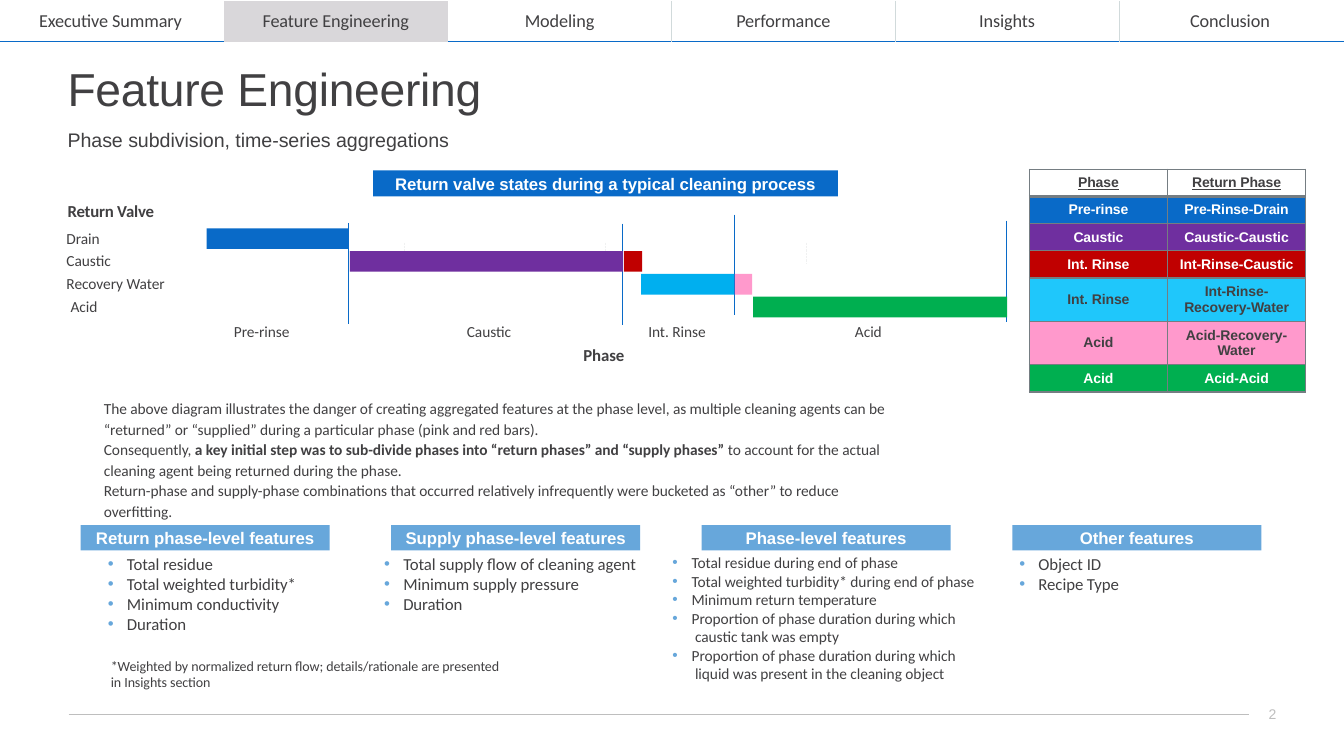
from lxml import etree
from pptx import Presentation
from pptx.dml.color import RGBColor
from pptx.enum.dml import MSO_LINE
from pptx.enum.shapes import MSO_CONNECTOR, MSO_SHAPE
from pptx.enum.text import MSO_ANCHOR, PP_ALIGN
from pptx.oxml.ns import qn
from pptx.util import Inches, Pt

LEFT, CENTER = PP_ALIGN.LEFT, PP_ALIGN.CENTER
TOP, MIDDLE = MSO_ANCHOR.TOP, MSO_ANCHOR.MIDDLE
RECT, STRAIGHT, DOTS = MSO_SHAPE.RECTANGLE, MSO_CONNECTOR.STRAIGHT, MSO_LINE.ROUND_DOT
NO_STYLE = "{2D5ABB26-0587-4C30-8999-92F81FD0307C}"
C = {"ink": "414042", "white": "FFFFFF", "blue": "096AC8", "sky": "67A7DB",
     "purple": "6F2F9F", "red": "C00000", "cyan": "00AFEF", "pale_cyan": "1FC7FB",
     "pink": "FF99CC", "green": "00AF50", "tab": "D9D7DA", "tab_edge": "D1DADB",
     "border": "757D82", "rule": "BEBEBE", "dots": "F0F1F1"}


def rgb(name):
    """Return a palette colour."""
    return RGBColor.from_string(C[name])


def g(units):
    """Convert grid units, ten columns or rows to the inch, to a length."""
    return Inches(units / 10)


class Deck:
    """Holds the style and the current slide."""

    def __init__(self, prs):
        """Add a blank slide to draw on."""
        self.s = prs.slides.add_slide(prs.slide_layouts[6])

    def fill_text(self, tf, paras, size=12, font="Calibri", color="ink", bold=False,
                  underline=False, align=LEFT, spacing=None, bullet=False, track=-5):
        """Fill a text frame; a paragraph is a string or a list of (text, bold) runs."""
        for i, para in enumerate(paras):
            p = tf.paragraphs[0] if i == 0 else tf.add_paragraph()
            p.alignment = align
            if spacing:
                p.line_spacing = spacing
            if bullet:
                self.bullet(p)
            for text, strong in ([(para, bold)] if isinstance(para, str) else para):
                for n, line in enumerate(text.split("\n")):
                    if n:
                        p.add_line_break()
                    r = p.add_run()
                    r.text = line
                    r.font.name, r.font.size, r.font.bold = font, Pt(size), strong
                    r.font.underline = underline
                    r.font.color.rgb = rgb(color)
                    r._r.get_or_add_rPr().set("spc", str(track))

    def bullet(self, p):
        """Give a paragraph a hanging sky-blue bullet."""
        pPr = p._p.get_or_add_pPr()
        pPr.set("marL", str(g(2)))
        pPr.set("indent", str(-g(1.9)))
        clr = etree.SubElement(pPr, qn("a:buClr"))
        etree.SubElement(clr, qn("a:srgbClr"), val=C["sky"])
        etree.SubElement(pPr, qn("a:buFont"), typeface="Arial")
        etree.SubElement(pPr, qn("a:buChar"), char="•")

    def frame(self, sp, anchor, top=0.0):
        """Set up wrapping, anchor and insets of a text frame."""
        tf = sp.text_frame
        tf.word_wrap, tf.vertical_anchor = True, anchor
        tf.margin_left = tf.margin_right = tf.margin_bottom = 0
        tf.margin_top = g(top)
        return tf

    def text(self, x, y, w, h, *paras, **style):
        """Add a text box."""
        box = self.s.shapes.add_textbox(g(x), g(y), g(w), g(h))
        self.fill_text(self.frame(box, TOP, 0.1), paras, **style)

    def bar(self, x, y, w, h, fill, label=None):
        """Add a filled rectangle, with a bold centred label if given."""
        sp = self.s.shapes.add_shape(RECT, g(x), g(y), g(w), g(h))
        sp.shadow.inherit = False
        sp.fill.solid()
        sp.fill.fore_color.rgb = rgb(fill)
        sp.line.fill.background()
        if label:
            self.fill_text(self.frame(sp, MIDDLE), [label], font="Arial", color="white",
                           bold=True, align=CENTER)

    def line(self, x1, y1, x2, y2, color="blue", width=0.5, dash=None):
        """Add a straight line."""
        ln = self.s.shapes.add_connector(STRAIGHT, g(x1), g(y1), g(x2), g(y2))
        ln.line.color.rgb, ln.line.width = rgb(color), Pt(width)
        if dash:
            ln.line.dash_style = dash
        etree.SubElement(ln._element.spPr, qn("a:effectLst"))

    def table(self, x, y, cols, rows):
        """Add an unstyled table with the given column widths and row heights."""
        shape = self.s.shapes.add_table(len(rows), len(cols), g(x), g(y), g(sum(cols)), g(sum(rows)))
        t = shape.table
        t.first_row = t.horz_banding = False
        for style in shape._element.iter(qn("a:tableStyleId")):
            style.text = NO_STYLE
        for col, w in zip(t.columns, cols):
            col.width = g(w)
        for row, h in zip(t.rows, rows):
            row.height = g(h)
        return t

    def cell(self, cell, text, fill=None, borders=(), left=0, right=0, **style):
        """Fill a cell; borders are (side, colour, width) in the order L, R, T, B."""
        cell.margin_left, cell.margin_right = g(left), g(right)
        cell.margin_top = cell.margin_bottom = 0
        cell.vertical_anchor = MIDDLE
        if fill:
            cell.fill.solid()
            cell.fill.fore_color.rgb = rgb(fill)
        else:
            cell.fill.background()
        tcPr = cell._tc.get_or_add_tcPr()
        for i, (side, color, width) in enumerate(borders):
            ln = etree.Element(qn("a:ln" + side), w=str(Pt(width)))
            solid = etree.SubElement(ln, qn("a:solidFill"))
            etree.SubElement(solid, qn("a:srgbClr"), val=C[color])
            tcPr.insert(i, ln)
        self.fill_text(cell.text_frame, [text], align=CENTER, **style)


prs = Presentation()
prs.slide_width, prs.slide_height = Inches(13.33), Inches(7.5)
d = Deck(prs)

# Navigation
d.line(0, 4.1, 133.3, 4.1)
tabs = ["Executive Summary", "Feature Engineering", "Modeling", "Performance", "Insights", "Conclusion"]
nav = d.table(2.5, 0.1, [19.7, 22.2, 22.2, 22.2, 22.2, 16.5], [4.1])
for i, tab in enumerate(tabs):
    edges = [(side, "tab_edge", 0.5) for side, shown in (("L", i > 2), ("R", 2 <= i < 5)) if shown]
    d.cell(nav.cell(0, i), tab, "tab" if i == 1 else None, edges, size=13,
           left=5.5 if i == 5 else 0, right=2.8 if i == 0 else 0)

# Headings and footer
d.text(6.7, 5.9, 60, 5.8, "Feature Engineering", size=33, font="Arial", track=-20)
d.text(6.7, 12.6, 50, 2.6, "Phase subdivision, time-series aggregations", size=14, font="Arial")
d.line(6.8, 70.9, 123.9, 70.9, "rule")
d.text(125.4, 69.9, 1.6, 1.8, "2", size=10, font="Arial", color="rule", align=CENTER)

# Valve timeline
d.bar(37, 16.9, 46.1, 2.6, "blue", "Return valve states during a typical cleaning process")
for x, height in ((40.1, 0.8), (60, 0.8), (80, 2), (99.8, 2)):
    d.line(x, 24.1, x, 24.1 + height, "dots", dash=DOTS)
for x, top, bottom in ((34.6, 22.1, 32.1), (61.7, 22.2, 32.2), (72.8, 21.3, 31.3), (99.8, 21.9, 31.9)):
    d.line(x, top, x, bottom)
VALVE_TOP, VALVE_STEP = 22.65, 2.26
for valve, x, w, fill in ((0, 20.5, 14.1, "blue"), (1, 34.7, 27.1, "purple"), (1, 61.9, 1.8, "red"),
                          (2, 63.6, 9.2, "cyan"), (2, 72.9, 1.7, "pink"), (3, 74.7, 25.2, "green")):
    d.bar(x, VALVE_TOP + valve * VALVE_STEP, w, 2.05, fill)
d.text(6.7, 19.8, 12, 2.2, "Return Valve", bold=True, track=-15)
for i, valve in enumerate(["Drain", "Caustic", "Recovery Water", "Acid"]):
    d.text(7 if valve == "Acid" else 6.6, 22.6 + i * VALVE_STEP, 12, 2, valve, size=11)
for x, phase in ((23.2, "Pre-rinse"), (46.3, "Caustic"), (64.3, "Int. Rinse"), (84.8, "Acid")):
    d.text(x, 31.9, 8, 2.1, phase, size=11)
d.text(55.9, 34.1, 8, 2.2, "Phase", bold=True, align=CENTER)

# Phase mapping
mapping = [("Phase", "Return Phase", None, "ink"), ("Pre-rinse", "Pre-Rinse-Drain", "blue", "white"),
           ("Caustic", "Caustic-Caustic", "purple", "white"),
           ("Int. Rinse", "Int-Rinse-Caustic", "red", "white"),
           ("Int. Rinse", "Int-Rinse-\nRecovery-Water", "pale_cyan", "ink"),
           ("Acid", "Acid-Recovery-\nWater", "pink", "ink"), ("Acid", "Acid-Acid", "green", "white")]
phases = d.table(102.1, 16.8, [13.7] * 2, [4.3 if "\n" in row[1] else 2.7 for row in mapping])
for i, (*names, fill, color) in enumerate(mapping):
    edges = [("L", "border", 1), ("R", "border", 1), ("T", "border", 2.25 if i == 1 else 1),
             ("B", "border", 2.25 if i == 0 else 1)]
    for j, name in enumerate(names):
        d.cell(phases.cell(i, j), name, fill, edges, size=10, font="Arial", color=color,
               bold=True, underline=i == 0)

# Explanation
d.text(10.3, 39.3, 79.8, 12,
       "The above diagram illustrates the danger of creating aggregated features at the phase level, "
       "as multiple cleaning agents can be\n“returned” or “supplied” during a particular phase "
       "(pink and red bars).",
       [("Consequently, ", False),
        ("a key initial step was to sub-divide phases into “return phases” and “supply phases” ", True),
        ("to account for the actual\ncleaning agent being returned during the phase.", False)],
       "Return-phase and supply-phase combinations that occurred relatively infrequently were "
       "bucketed as “other” to reduce\noverfitting.", size=11, spacing=1.11)

# Feature groups
groups = [("Return phase-level features", 10.6, 12,
           ["Total residue", "Total weighted turbidity*", "Minimum conductivity", "Duration"]),
          ("Supply phase-level features", 38, 12,
           ["Total supply flow of cleaning agent", "Minimum supply pressure", "Duration"]),
          ("Phase-level features", 66.6, 11,
           ["Total residue during end of phase", "Total weighted turbidity* during end of phase",
            "Minimum return temperature",
            "Proportion of phase duration during which\n caustic tank was empty",
            "Proportion of phase duration during which\n liquid was present in the cleaning object"]),
          ("Other features", 101, 12, ["Object ID", "Recipe Type"])]
for i, (title, x, size, features) in enumerate(groups):
    d.bar(8 + i * 30.8, 52.1, 24.7, 2.5, "sky", title)
    d.text(x, 54.8, 32 if size == 11 else 27, 2.1 * len(features), *features, size=size, bullet=True)
d.text(11, 65.1, 42, 3.6, "*Weighted by normalized return flow; details/rationale are presented\n"
       "in Insights section", size=10)

prs.save("out.pptx")
